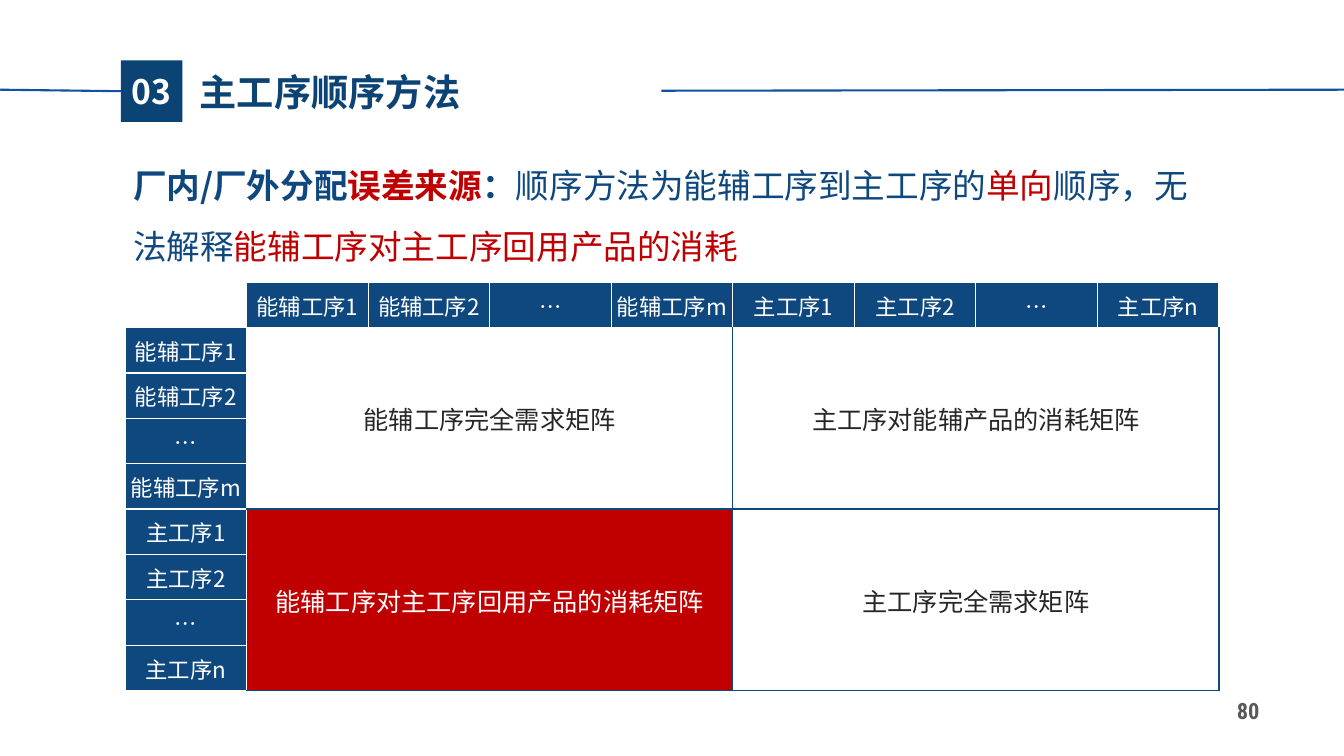
"""Build the slide on the sequential method for main processes."""
from lxml import etree
from pptx import Presentation
from pptx.dml.color import RGBColor
from pptx.enum import shapes, text
from pptx.oxml import ns
from pptx.util import Inches, Pt

NAVY = RGBColor(0x0C, 0x43, 0x75)
BLUE = RGBColor(0x0E, 0x48, 0x7F)
RULE_BLUE = RGBColor(0x10, 0x52, 0xA0)
RED = RGBColor(0xC0, 0x00, 0x00)
WHITE = RGBColor(0xFF, 0xFF, 0xFF)
DARK = RGBColor(0x26, 0x26, 0x26)
GREY = RGBColor(0x59, 0x59, 0x59)
CJK = "Noto Sans CJK SC"
CENTER, LEFT = text.PP_ALIGN.CENTER, text.PP_ALIGN.LEFT

TITLE = "主工序顺序方法"
SECTION = "03"
PAGE = "80"
ERROR_SOURCE = [
    ("厂内/厂外分配", BLUE, True),
    ("误差来源", RED, True),
    ("：", BLUE, True),
    ("顺序方法为能辅工序到主工序的", BLUE, False),
    ("单向", RED, False),
    ("顺序，无法解释", BLUE, False),
    ("能辅工序对主工序回用产品的消耗", RED, False),
]
PROCESSES = ["能辅工序1", "能辅工序2", "…", "能辅工序m",
             "主工序1", "主工序2", "…", "主工序n"]
BLOCK = 4
# (block row, block column): label, text colour, fill, left/right/top/bottom borders
MATRICES = {
    (0, 0): ("能辅工序完全需求矩阵", DARK, None, (WHITE, BLUE, WHITE, BLUE)),
    (0, 1): ("主工序对能辅产品的消耗矩阵", DARK, None, (BLUE, BLUE, WHITE, BLUE)),
    (1, 0): ("能辅工序对主工序回用产品的消耗矩阵", WHITE, RED, (WHITE, BLUE, BLUE, BLUE)),
    (1, 1): ("主工序完全需求矩阵", DARK, None, (BLUE, BLUE, BLUE, BLUE)),
}


def write(frame, runs, size, color=None, bold=False, font=CJK, align=CENTER,
          spacing=None, anchor=text.MSO_ANCHOR.MIDDLE, wrap=True, insets=(0, 0, 0, 0)):
    """Fill a text frame with one paragraph of plain or (text, colour, bold) runs."""
    frame.word_wrap = wrap
    frame.vertical_anchor = anchor
    (frame.margin_left, frame.margin_top,
     frame.margin_right, frame.margin_bottom) = [Inches(inset) for inset in insets]
    paragraph = frame.paragraphs[0]
    paragraph.alignment = align
    if spacing:
        paragraph.line_spacing = spacing
    if isinstance(runs, str):
        runs = [(runs, color, bold)]
    for wording, run_color, run_bold in runs:
        run = paragraph.add_run()
        run.text = wording
        run.font.size = Pt(size)
        run.font.bold = run_bold
        run.font.color.rgb = run_color
        run.font.name = font
        east_asian = etree.SubElement(run.font._element, ns.qn("a:ea"))
        east_asian.set("typeface", font)


def add_box(slide, left, top, width, height):
    """Add a text box and return its text frame."""
    return slide.shapes.add_textbox(
        Inches(left), Inches(top), Inches(width), Inches(height)).text_frame


def add_rule(slide, start, end):
    """Add a thin header rule between two points."""
    rule = slide.shapes.add_connector(
        shapes.MSO_CONNECTOR.STRAIGHT, *[Inches(value) for value in start + end])
    rule.line.color.rgb = RULE_BLUE
    rule.line.width = Pt(1.5)
    etree.SubElement(rule._element.spPr, ns.qn("a:effectLst"))
    return rule


def style_cell(cell, borders, fill):
    """Set the four borders (left, right, top, bottom) and the fill of a cell."""
    properties = cell._tc.get_or_add_tcPr()
    for side, color in zip("LRTB", borders):
        line = etree.SubElement(properties, ns.qn("a:ln" + side), w=str(Pt(1)))
        solid = etree.SubElement(line, ns.qn("a:solidFill"))
        etree.SubElement(solid, ns.qn("a:srgbClr"), val=str(color))
    if fill is None:
        cell.fill.background()
    else:
        cell.fill.solid()
        cell.fill.fore_color.rgb = fill


def add_header(slide):
    """Add the rules, the section number and the title."""
    badge = slide.shapes.add_shape(
        shapes.MSO_SHAPE.RECTANGLE, Inches(1.2), Inches(0.6), Inches(0.61), Inches(0.61))
    badge.shadow.inherit = False
    badge.fill.solid()
    badge.fill.fore_color.rgb = NAVY
    badge.line.fill.background()
    write(badge.text_frame, SECTION, 24, WHITE, bold=True)
    add_rule(slide, (0, 0.89), (1.2, 0.9)).end_connect(badge, 1)
    add_rule(slide, (6.56, 0.9), (13.33, 0.89))

    title = slide.shapes.title
    title.left, title.top = Inches(1.88), Inches(0.63)
    title.width, title.height = Inches(2.82), Inches(0.55)
    title.text_frame.auto_size = text.MSO_AUTO_SIZE.NONE
    write(title.text_frame, TITLE, 26.6, NAVY, bold=True, align=LEFT, wrap=False,
          insets=(0.1, 0, 0.1, 0))


def add_matrix(slide):
    """Add the table of process labels and the four merged matrix blocks."""
    count = len(PROCESSES) + 1
    table = slide.shapes.add_table(
        count, count, Inches(1.24), Inches(2.8), Inches(10.85), Inches(4.05)).table
    table.first_row = table.horz_banding = False
    cell_insets = (0.01, 0.01, 0.01, 0)
    white_borders = (WHITE,) * 4
    style_cell(table.cell(0, 0), white_borders, None)
    for index, process in enumerate(PROCESSES, 1):
        for cell in (table.cell(0, index), table.cell(index, 0)):
            style_cell(cell, white_borders, BLUE)
            write(cell.text_frame, process, 16, WHITE)
    for (block_row, block_column), (label, color, fill, borders) in MATRICES.items():
        top, left = 1 + BLOCK * block_row, 1 + BLOCK * block_column
        for row in range(top, top + BLOCK):
            for column in range(left, left + BLOCK):
                style_cell(table.cell(row, column), borders, fill)
        block = table.cell(top, left)
        block.merge(table.cell(top + BLOCK - 1, left + BLOCK - 1))
        write(block.text_frame, label, 18, color)
    for cell in table.iter_cells():
        cell.vertical_anchor = text.MSO_ANCHOR.MIDDLE
        (cell.margin_left, cell.margin_top,
         cell.margin_right, cell.margin_bottom) = [Inches(inset) for inset in cell_insets]


def main():
    """Assemble and save the slide."""
    deck = Presentation()
    deck.slide_width, deck.slide_height = Inches(13.33), Inches(7.5)
    slide = deck.slides.add_slide(deck.slide_layouts[5])
    add_header(slide)
    write(add_box(slide, 1.19, 1.37, 10.85, 1.88), ERROR_SOURCE, 24, align=LEFT,
          spacing=1.5, anchor=text.MSO_ANCHOR.TOP, insets=(0.13, 0.07, 0.13, 0.07))
    add_matrix(slide)
    write(add_box(slide, 12.07, 6.87, 0.62, 0.36), PAGE, 16, GREY, bold=True,
          font="Roboto Condensed")
    deck.save("out.pptx")


if __name__ == "__main__":
    main()
